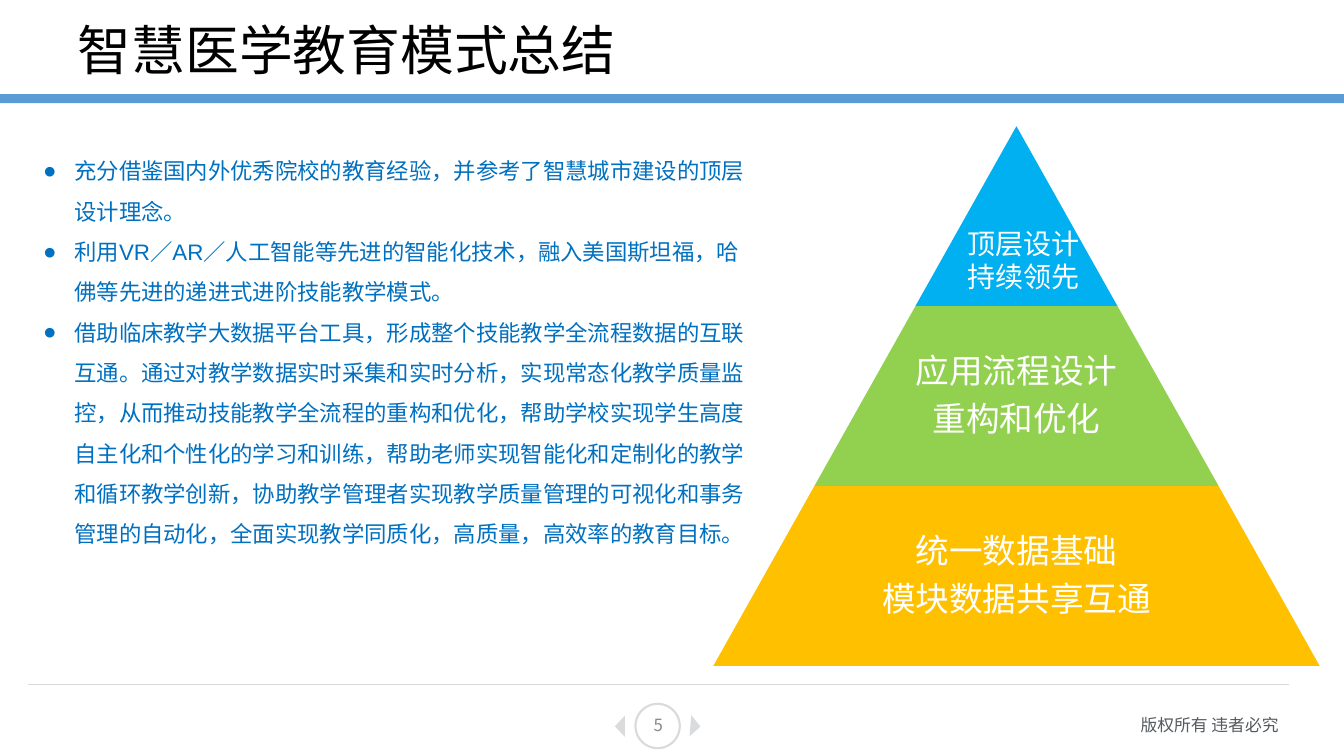
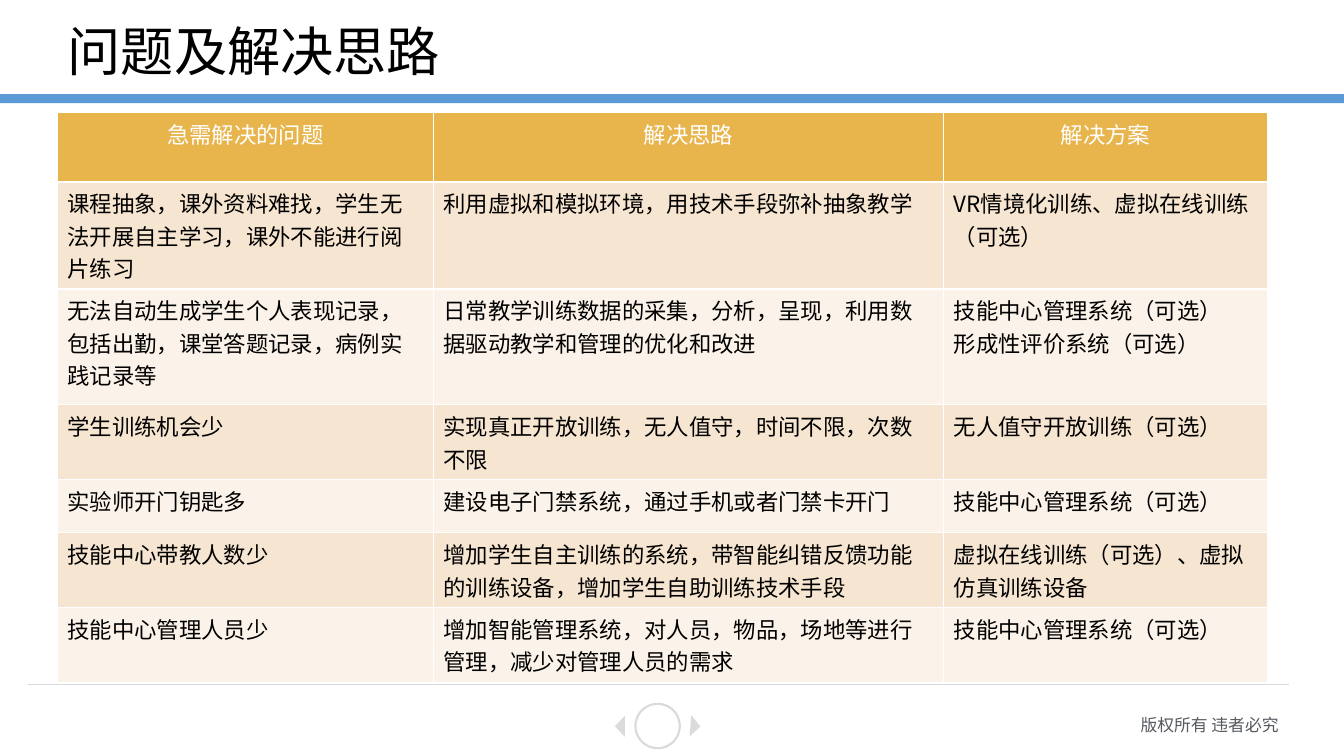
from pptx import Presentation
from pptx.dml.color import RGBColor
from pptx.enum.shapes import MSO_CONNECTOR as CONNECTOR, MSO_SHAPE as SHAPE
from pptx.enum.text import MSO_ANCHOR as ANCHOR, MSO_AUTO_SIZE as FIT, PP_ALIGN as ALIGN
from pptx.oxml.ns import qn
from pptx.util import Inches, Pt
from lxml.etree import SubElement

WIDTH, HEIGHT = Inches(13.33), Inches(7.5)
SANS = "Noto Sans CJK SC"
BLUE, GREY, WHITE, BLACK = "5B9BD5", "D9DADC", "FFFFFF", "000000"


def box(left, top, width, height):
    """Turn percentages of the slide into lengths."""
    return [int(share * side / 100) for share, side in
            ((left, WIDTH), (top, HEIGHT), (width, WIDTH), (height, HEIGHT))]


def write(frame, lines, size, color, font=SANS, align=ALIGN.LEFT,
          spacing=None, after=0, bullet=None):
    """Fill a text frame, one paragraph for each line."""
    frame.word_wrap = True
    for number, line in enumerate(lines):
        paragraph = frame.add_paragraph() if number else frame.paragraphs[0]
        paragraph.alignment = align
        paragraph.line_spacing = spacing
        paragraph.space_before, paragraph.space_after = Pt(0), Pt(after)
        if bullet:
            properties = paragraph._p.get_or_add_pPr()
            properties.set("marL", str(Inches(0.31)))
            properties.set("indent", str(-Inches(0.31)))
            SubElement(properties, qn("a:buFont")).set("typeface", "Arial")
            SubElement(properties, qn("a:buChar")).set("char", bullet)
        run = paragraph.add_run()
        run.text = line
        run.font.size, run.font.name, run.font.bold = Pt(size), font, False
        run.font.color.rgb = RGBColor.from_string(color)
        SubElement(run._r.get_or_add_rPr(), qn("a:ea")).set("typeface", font)


presentation = Presentation()
presentation.slide_width, presentation.slide_height = WIDTH, HEIGHT
layouts = presentation.slide_layouts
summary = presentation.slides.add_slide(layouts[1])
problems = presentation.slides.add_slide(layouts[5])

# Shared band and footer, drawn once and moved to the master
decoration = []
for kind, place, fill, line, rotation in (
        (SHAPE.RECTANGLE, (0, 12.45, 100, 1.2), BLUE, None, 0),
        (SHAPE.OVAL, (47.28, 93.1, 3.3, 5.87), None, GREY, 0),
        (SHAPE.ISOSCELES_TRIANGLE, (45.33, 95.4, 1.58, 1.33), "DADBDD", None, 270),
        (SHAPE.ISOSCELES_TRIANGLE, (50.95, 95.4, 1.58, 1.33), "DADBDD", None, 94.8)):
    shape = summary.shapes.add_shape(kind, *box(*place))
    shape.shadow.inherit = False
    shape.rotation = rotation
    if fill:
        shape.fill.solid()
        shape.fill.fore_color.rgb = RGBColor.from_string(fill)
    else:
        shape.fill.background()
    if line:
        shape.line.color.rgb = RGBColor.from_string(line)
        shape.line.width = Pt(1.5)
    else:
        shape.line.fill.background()
    decoration.append(shape)

left, top, width, _ = box(2.1, 90.53, 93.78, 0)
rule = summary.shapes.add_connector(CONNECTOR.STRAIGHT, left, top, left + width, top)
rule.line.color.rgb = RGBColor.from_string(GREY)
rule.line.width = Pt(0.5)
SubElement(rule._element.spPr, qn("a:effectLst"))
rights = summary.shapes.add_textbox(*box(70.43, 93.88, 25.45, 4))
write(rights.text_frame, ["版权所有 违者必究"], 12, "555A60", align=ALIGN.RIGHT)
decoration += [rule, rights]

master_tree = presentation.slide_master.element.cSld.spTree
for number, shape in enumerate(decoration, start=20):
    shape.element.xpath("./*/p:cNvPr")[0].set("id", str(number))
    master_tree.append(shape.element)

# Titles
for slide, text, size, left, top in (
        (summary, "智慧医学教育模式总结", 38.4, 5.03, 2.4),
        (problems, "问题及解决思路", 38, 4.28, 2.6)):
    title = slide.shapes.title
    title.left, title.top, title.width, title.height = box(left, top, 90, 9.2)
    title.text_frame.vertical_anchor = ANCHOR.MIDDLE
    title.text_frame.auto_size = FIT.NONE
    write(title.text_frame, [text], size, BLACK, spacing=0.9)

# Summary: pyramid, each tier one step wider than the one above
APEX, PEAK, STEP, TIER = 75.63, 16.7, 15.04, 23.8
for level, (color, lines) in enumerate((
        ("00B0F0", []),
        ("92D050", ["应用流程设计", "重构和优化"]),
        ("FFC000", ["统一数据基础", "模块数据共享互通"]))):
    base, top = STEP * (level + 1), PEAK + TIER * level
    tier = summary.shapes.add_shape(SHAPE.TRAPEZOID, *box(APEX - base / 2, top, base, TIER))
    tier.adjustments[0] = STEP * WIDTH / 2 / (TIER * HEIGHT)
    tier.shadow.inherit = False
    tier.fill.solid()
    tier.fill.fore_color.rgb = RGBColor.from_string(color)
    tier.line.fill.background()
    if lines:
        span = base * 0.65
        label = summary.shapes.add_textbox(*box(APEX - span / 2, top + 0.1, span, TIER))
        frame = label.text_frame
        frame.vertical_anchor = ANCHOR.MIDDLE
        frame.margin_left = frame.margin_right = Inches(0.03)
        frame.margin_top = frame.margin_bottom = Inches(0.03)
        write(frame, lines, 24, WHITE, "Calibri", ALIGN.CENTER, 0.9, 8.4)

top_label = summary.shapes.add_textbox(*box(71.22, 29.28, 14.85, 10.27))
write(top_label.text_frame, ["顶层设计", "持续领先"], 20, WHITE, "Arial")
page = summary.shapes.add_textbox(*box(37.73, 93.2, 22.5, 5.33))
page.text_frame.vertical_anchor = ANCHOR.MIDDLE
write(page.text_frame, ["5"], 12, "898989", align=ALIGN.CENTER)

# Summary: list
body = summary.placeholders[1]
body.left, body.top, body.width, body.height = box(2.46, 18.4, 54.1, 60.5)
body.text_frame.auto_size = FIT.NONE
write(body.text_frame, [
    "充分借鉴国内外优秀院校的教育经验，并参考了智慧城市建设的顶层设计理念。",
    "利用VR／AR／人工智能等先进的智能化技术，融入美国斯坦福，哈佛等先进的递进式进阶技能教学模式。",
    "借助临床教学大数据平台工具，形成整个技能教学全流程数据的互联互通。"
    "通过对教学数据实时采集和实时分析，实现常态化教学质量监控，"
    "从而推动技能教学全流程的重构和优化，帮助学校实现学生高度自主化和个性化的学习和训练，"
    "帮助老师实现智能化和定制化的教学和循环教学创新，"
    "协助教学管理者实现教学质量管理的可视化和事务管理的自动化，"
    "全面实现教学同质化，高质量，高效率的教育目标。",
], 16, "0070C0", "Arial", spacing=Pt(28.8), bullet="●")

# Problems: table
SYSTEM = "技能中心管理系统（可选）"
rows = [
    ("急需解决的问题", "解决思路", "解决方案"),
    ("课程抽象，课外资料难找，学生无法开展自主学习，课外不能进行阅片练习",
     "利用虚拟和模拟环境，用技术手段弥补抽象教学",
     "VR情境化训练、虚拟在线训练（可选）"),
    ("无法自动生成学生个人表现记录，包括出勤，课堂答题记录，病例实践记录等",
     "日常教学训练数据的采集，分析，呈现，利用数据驱动教学和管理的优化和改进",
     SYSTEM + "\n形成性评价系统（可选）"),
    ("学生训练机会少", "实现真正开放训练，无人值守，时间不限，次数不限",
     "无人值守开放训练（可选）"),
    ("实验师开门钥匙多", "建设电子门禁系统，通过手机或者门禁卡开门", SYSTEM),
    ("技能中心带教人数少",
     "增加学生自主训练的系统，带智能纠错反馈功能的训练设备，增加学生自助训练技术手段",
     "虚拟在线训练（可选）、虚拟仿真训练设备"),
    ("技能中心管理人员少",
     "增加智能管理系统，对人员，物品，场地等进行管理，减少对管理人员的需求", SYSTEM),
]
table = problems.shapes.add_table(len(rows), 3, *box(4.28, 14.88, 90, 70)).table
for column, share in zip(table.columns, (27.98, 37.96, 24.08)):
    column.width = int(WIDTH * share / 100)
for row, share in zip(table.rows, (9.2, 12, 15.33, 9.47, 7.07, 8.4, 8.4)):
    row.height = int(HEIGHT * share / 100)
for row_number, texts in enumerate(rows):
    header = row_number == 0
    fill = "E8B54D" if header else ("FBF3E9", "F6E5D0")[row_number % 2]
    for column_number, text in enumerate(texts):
        cell = table.cell(row_number, column_number)
        cell.fill.solid()
        cell.fill.fore_color.rgb = RGBColor.from_string(fill)
        write(cell.text_frame, text.split("\n"), 16, WHITE if header else BLACK,
              align=ALIGN.CENTER if header else ALIGN.LEFT)

presentation.save("out.pptx")
